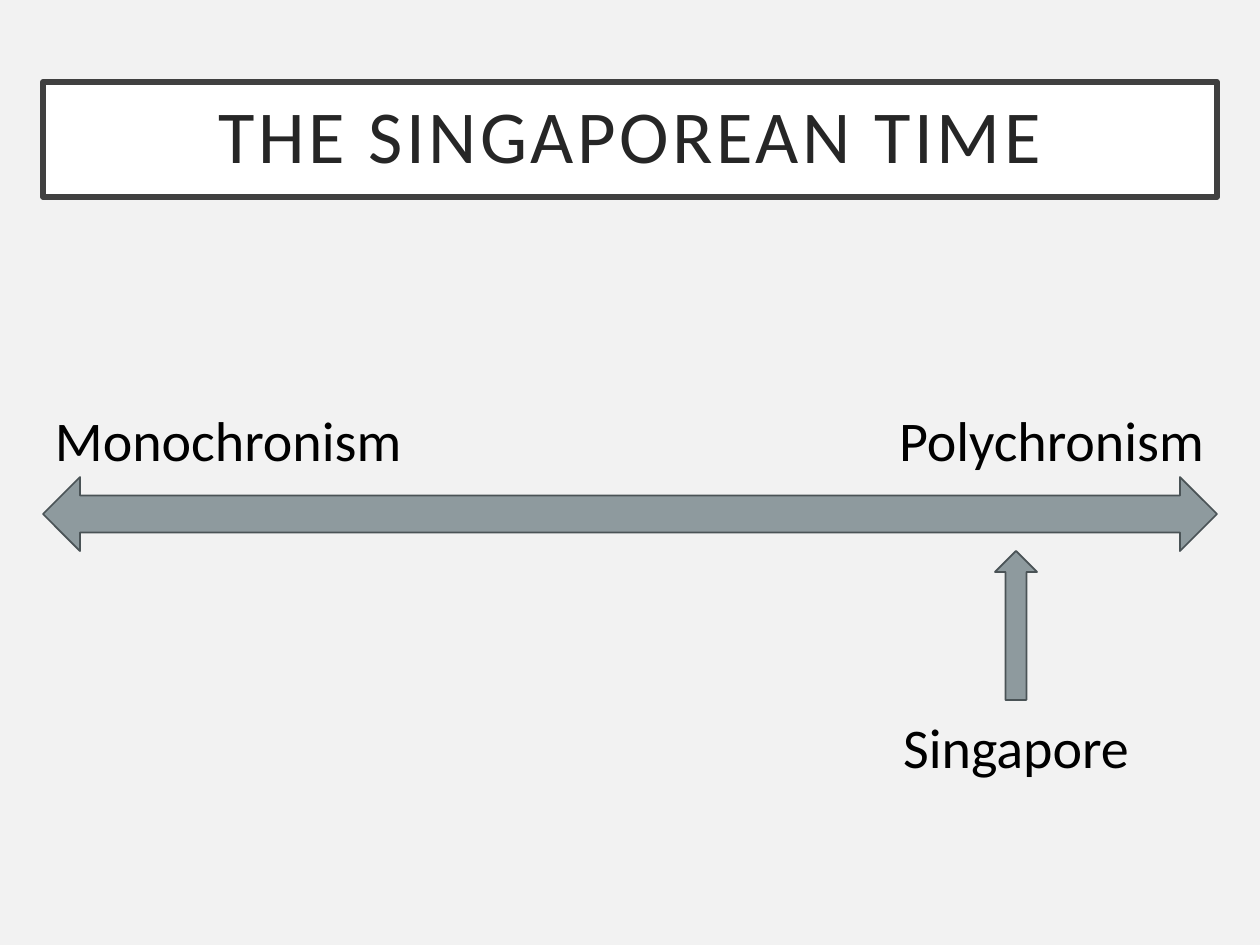
from pptx import Presentation
from pptx import util as u
from pptx.dml.color import RGBColor
from pptx.enum import shapes, text

PX = 914400 // 168
COLORS = {"back": "F2F2F2", "white": "FFFFFF", "frame": "404040", "title": "262626",
          "arrow": "8E9A9E", "edge": "4A5356", "label": "000000"}


def add_block(kind, box, fill, line, width):
    sp = slide.shapes.add_shape(kind, *(n * PX for n in box))
    sp.shadow.inherit = False
    sp.fill.solid()
    sp.fill.fore_color.rgb = RGBColor.from_string(COLORS[fill])
    sp.line.color.rgb = RGBColor.from_string(COLORS[line])
    sp.line.width = u.Pt(width)
    return sp


def set_text(sp, words, size, color, align, inset):
    tf = sp.text_frame
    tf.margin_left = tf.margin_right = tf.margin_top = tf.margin_bottom = inset * PX
    p = tf.paragraphs[0]
    p.text = words
    p.alignment = align
    r = p.runs[0]
    r.font.name = "Calibri"
    r.font.size = u.Pt(size)
    r.font.color.rgb = RGBColor.from_string(COLORS[color])
    return tf


prs = Presentation()
prs.slide_width, prs.slide_height = 1260 * PX, 945 * PX
slide = prs.slides.add_slide(prs.slide_layouts[6])
slide.background.fill.solid()
slide.background.fill.fore_color.rgb = RGBColor.from_string(COLORS["back"])

# Framed title
title = add_block(shapes.MSO_SHAPE.RECTANGLE, (43, 82, 1174, 115), "white", "frame", 2.5)
tf = set_text(title, "THE SINGAPOREAN TIME", 32, "title", text.PP_ALIGN.CENTER, 17)
tf.word_wrap = False
tf.vertical_anchor = text.MSO_ANCHOR.MIDDLE
tf.paragraphs[0].line_spacing = 0.9
tf.paragraphs[0].runs[0].font._element.set("spc", "150")

# Time scale and the pointer below it
for kind, box in [
    (shapes.MSO_SHAPE.LEFT_RIGHT_ARROW, (43, 477, 1174, 74)),
    (shapes.MSO_SHAPE.UP_ARROW, (995, 551, 42, 149)),
]:
    add_block(kind, box, "arrow", "edge", 0.75)

# Labels
for words, left, top, width, align in [
    ("Monochronism", 43, 393, 378, text.PP_ALIGN.LEFT),
    ("Polychronism", 872, 393, 344, text.PP_ALIGN.RIGHT),
    ("Singapore", 872, 700, 288, text.PP_ALIGN.CENTER),
]:
    label = slide.shapes.add_textbox(left * PX, top * PX, width * PX, 74 * PX)
    tf = set_text(label, words, 24, "label", align, 12)
    tf.word_wrap = True

prs.save("out.pptx")
